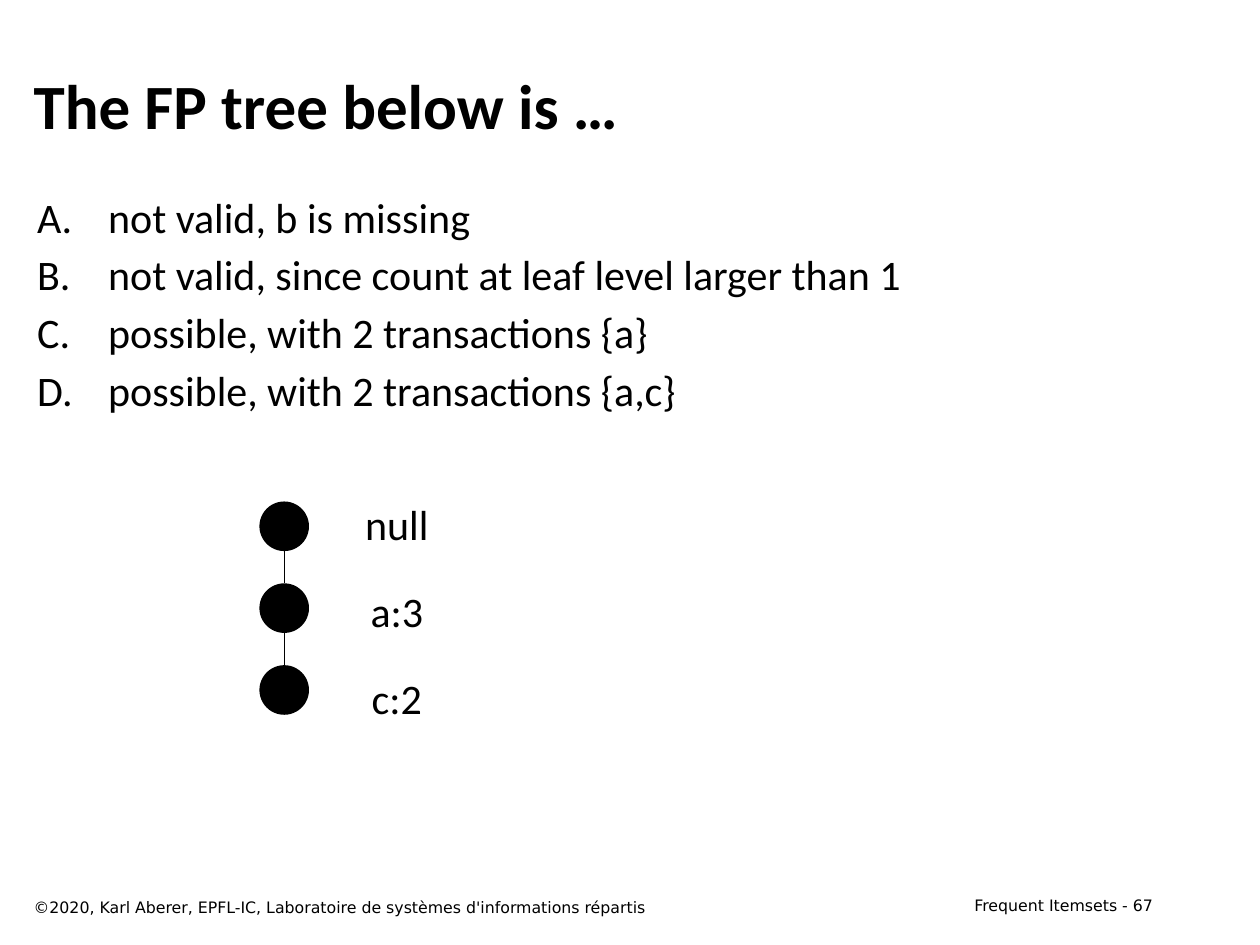
from dataclasses import dataclass
from lxml import etree
from pptx import Presentation
from pptx.dml.color import RGBColor
from pptx.enum.shapes import MSO_CONNECTOR, MSO_SHAPE
from pptx.enum.text import MSO_ANCHOR, MSO_AUTO_SIZE, PP_ALIGN
from pptx.oxml.ns import qn
from pptx.util import Cm, Pt

LINE, OVAL = MSO_CONNECTOR.STRAIGHT, MSO_SHAPE.OVAL
TOP, MID = MSO_ANCHOR.TOP, MSO_ANCHOR.MIDDLE
LEFT, MIDDLE, RIGHT = PP_ALIGN.LEFT, PP_ALIGN.CENTER, PP_ALIGN.RIGHT
GROW = MSO_AUTO_SIZE.SHAPE_TO_FIT_TEXT


@dataclass(frozen=True)
class Theme:
    ink: RGBColor = RGBColor(0, 0, 0)
    main: str = "Calibri"
    small: str = "DejaVu Sans"
    head: int = 36
    body: int = 24
    foot: int = 9


THEME = Theme()
TITLE = "The FP tree below is …"
CHOICES = [
    "not valid, b is missing",
    "not valid, since count at leaf level larger than 1",
    "possible, with 2 transactions {a}",
    "possible, with 2 transactions {a,c}",
]
NODES = [("null", 1.8), ("a:3", 1.58), ("c:2", 1.52)]
RIGHTS = "©2020, Karl Aberer, EPFL-IC, Laboratoire de systèmes d'informations répartis"
PAGE = "Frequent Itemsets - 67"

NODE_X, NODE_Y, NODE_D, NODE_STEP = 5.23, 10.11, 1, 1.65
LABEL_X, LABEL_Y, LABEL_H, LABEL_STEP = 8, 9.93, 1.27, 1.75


def add_text(slide, text, area, size, font=THEME.main, bold=False,
             align=LEFT, anchor=TOP, wrap=True):
    box = slide.shapes.add_textbox(*map(Cm, area))
    frame = box.text_frame
    frame.text = text
    frame.word_wrap = wrap
    frame.vertical_anchor = anchor
    for para in frame.paragraphs:
        para.alignment = align
        for run in para.runs:
            run.font.name = font
            run.font.size = Pt(size)
            run.font.bold = bold
            run.font.color.rgb = THEME.ink
    return frame


def add_marks(frame):
    for rank, para in enumerate(frame.paragraphs):
        props = para._p.get_or_add_pPr()
        props.set("marL", str(Cm(1.43)))
        props.set("indent", str(-Cm(1.43)))
        etree.SubElement(props, qn("a:buFont"), typeface="+mj-lt")
        etree.SubElement(props, qn("a:buAutoNum"), type="alphaUcPeriod")
        if rank:
            para.space_before = Pt(4.2)


def add_tree(slide):
    mid = NODE_X + NODE_D / 2
    for rank, (label, width) in enumerate(NODES):
        top = NODE_Y + rank * NODE_STEP
        node = slide.shapes.add_shape(
            OVAL, Cm(NODE_X), Cm(top), Cm(NODE_D), Cm(NODE_D))
        node.shadow.inherit = False
        node.fill.solid()
        node.fill.fore_color.rgb = THEME.ink
        node.line.fill.background()
        if rank:
            start = top - NODE_STEP + NODE_D
            edge = slide.shapes.add_connector(
                LINE, Cm(mid), Cm(start), Cm(mid), Cm(top))
            edge.line.color.rgb = THEME.ink
            edge.line.width = Pt(0.75)
            etree.SubElement(edge._element.spPr, qn("a:effectLst"))
        area = (LABEL_X - width / 2, LABEL_Y + rank * LABEL_STEP, width, LABEL_H)
        frame = add_text(slide, label, area, THEME.body, align=MIDDLE, wrap=False)
        frame.auto_size = GROW


def main():
    deck = Presentation()
    deck.slide_width, deck.slide_height = Cm(25.4), Cm(19.05)
    slide = deck.slides.add_slide(deck.slide_layouts[6])
    add_text(slide, PAGE, (18.21, 17.93, 5.28, 0.64), THEME.foot, THEME.small,
             align=RIGHT)
    add_text(slide, TITLE, (0.43, 0.84, 23.06, 2.54), THEME.head, bold=True,
             anchor=MID)
    add_marks(add_text(slide, "\n".join(CHOICES), (0.5, 3.73, 23.06, 13.97),
                       THEME.body))
    add_text(slide, RIGHTS, (0.43, 17.98, 16.31, 0.64), THEME.foot, THEME.small)
    add_tree(slide)
    deck.save("out.pptx")


if __name__ == "__main__":
    main()
